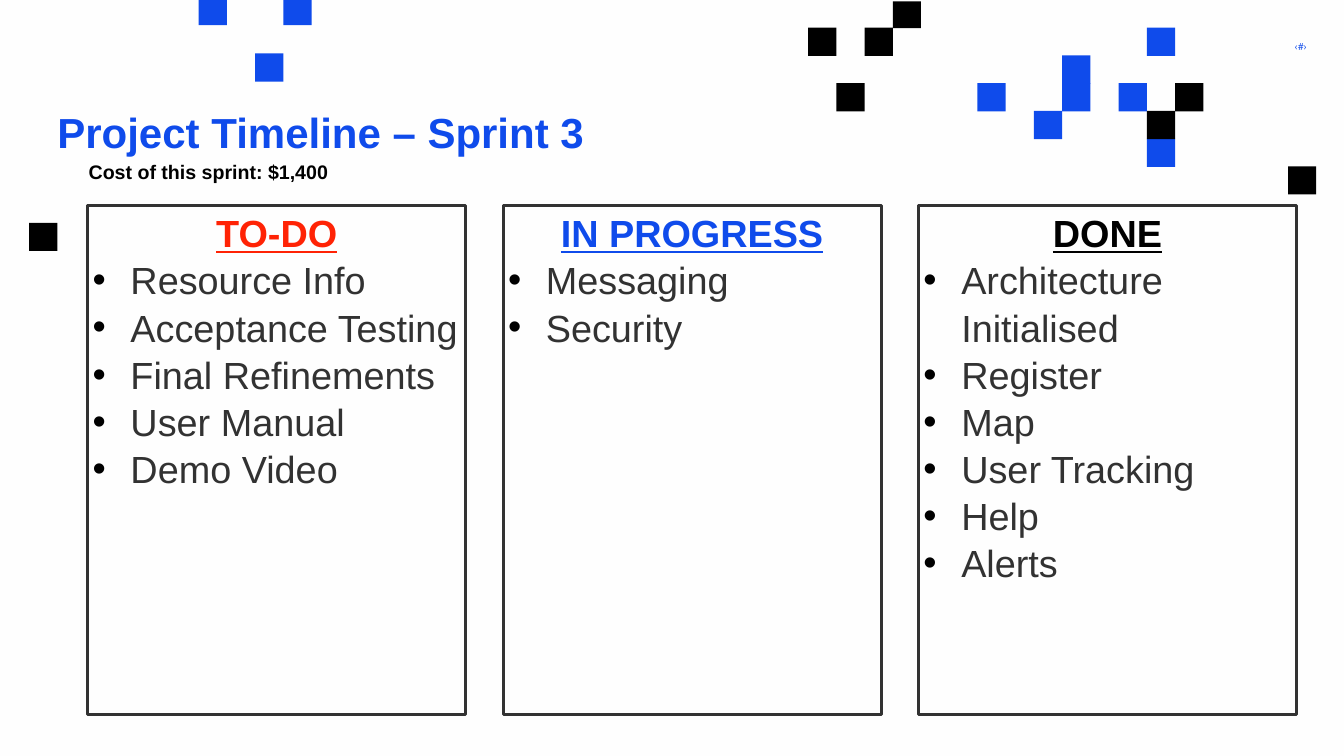
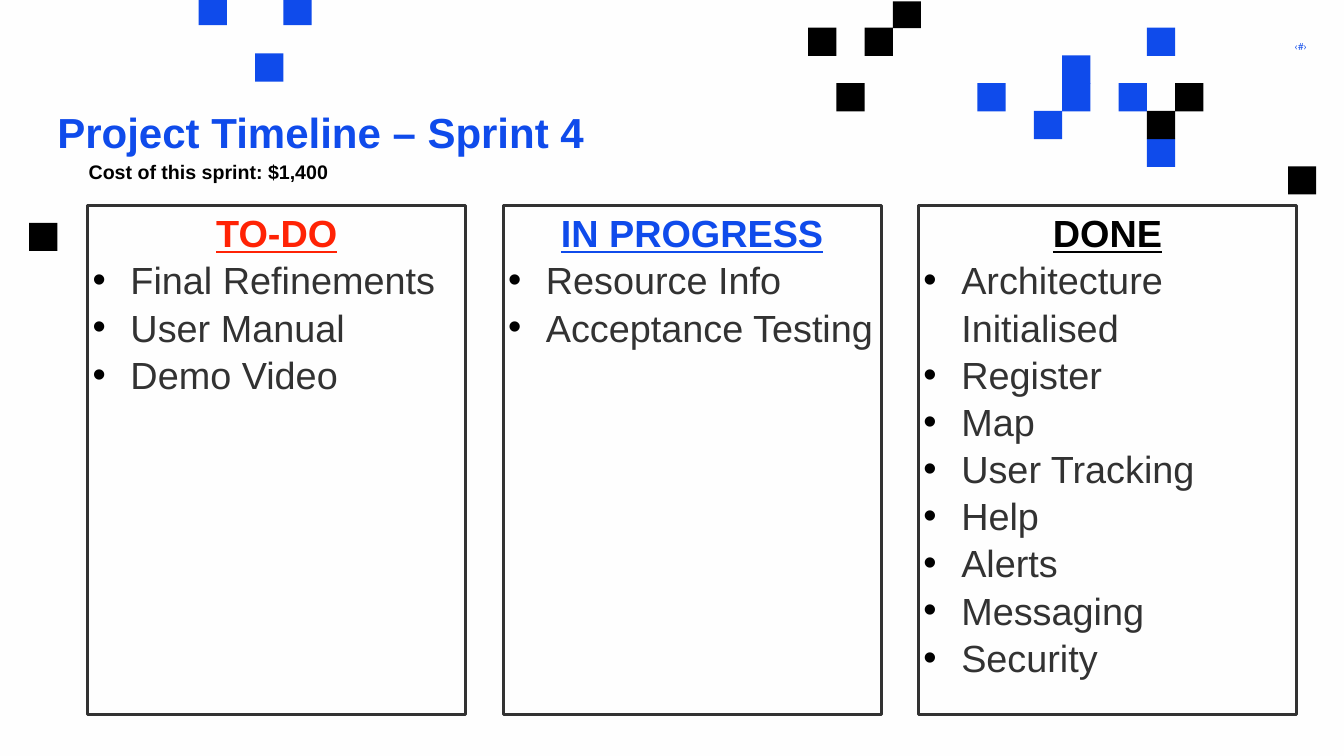
import pptx
import pptx.util
import pptx.dml.color
import pptx.enum.shapes
import pptx.enum.text
from lxml import etree

# Content
COST = "Cost of this sprint: $1,400"
HEADS = [("TO-DO", "FF2305"), ("IN PROGRESS", "0F4BEB"), ("DONE", "000000")]
BUILT = ["Architecture Initialised", "Register", "Map", "User Tracking", "Help", "Alerts"]
LAST = ["Final Refinements", "User Manual", "Demo Video"]
TESTS = ["Resource Info", "Acceptance Testing"]
CHAT = ["Messaging", "Security"]
SPRINTS = [
    ("Project Timeline – Sprint 3", [TESTS + LAST, CHAT, BUILT]),
    ("Project Timeline – Sprint 4", [LAST, TESTS, BUILT + CHAT]),
]

# Shared style, lengths in inches
WIDE, HIGH = 26.66, 15
BLUE, BLACK, GREY, PAPER = "0F4BEB", "000000", "323232", "FEFEFE"
TILE = 0.56
CARD = dict(left=1.74, top=4.08, wide=7.5, high=10.1, step=8.24)

# Tile groups: origin, row step, top edge, then (column, row) by colour
GROUPS = [
    (0.58, -0.06, 0.56, 0, {
        BLUE: [(6, 0), (9, 0), (8, 2)],
        BLACK: [(0, 8)]}),
    (16.03, 0, 0.55, 0.03, {
        BLUE: [(12, 1), (9, 2), (6, 3), (9, 3), (11, 3), (8, 4), (12, 5)],
        BLACK: [(3, 0), (0, 1), (2, 1), (1, 3), (13, 3), (12, 4), (17, 6)]}),
]

inch = pptx.util.Inches
ALIGN = pptx.enum.text.PP_ALIGN


def color(code):
    return pptx.dml.color.RGBColor.from_string(code)


def style(para, size, code, face="Arial", bold=False, line=False):
    font = para.font
    font.name, font.size, font.bold = face, pptx.util.Pt(size), bold
    font.underline = line
    font.color.rgb = color(code)


def rect(slide, left, top, wide, high):
    kind = pptx.enum.shapes.MSO_SHAPE.RECTANGLE
    shape = slide.shapes.add_shape(kind, inch(left), inch(top), inch(wide), inch(high))
    shape.shadow.inherit = False
    return shape


def label(slide, text, left, top, wide, high, pad=None):
    box = slide.shapes.add_textbox(inch(left), inch(top), inch(wide), inch(high))
    frame = box.text_frame
    frame.word_wrap = True
    if pad is not None:
        frame.margin_left = frame.margin_right = inch(pad)
        frame.margin_top = frame.margin_bottom = inch(pad)
    para = frame.paragraphs[0]
    para.text = text
    return para


def bullet(para):
    props = para._p.get_or_add_pPr()
    props.set("marL", str(inch(0.75)))
    props.set("indent", str(-inch(0.75)))
    space = props.nsmap["a"]
    tint = etree.SubElement(props, f"{{{space}}}buClr")
    etree.SubElement(tint, f"{{{space}}}srgbClr", val=BLACK)
    etree.SubElement(props, f"{{{space}}}buFont", typeface="Arial")
    etree.SubElement(props, f"{{{space}}}buChar", char="•")


def tiles(slide):
    for left, top, step, edge, sets in GROUPS:
        for code, spots in sets.items():
            for col, row in spots:
                y = top + row * step
                start = max(y, edge)
                tile = rect(slide, left + col * TILE, start, TILE, y + TILE - start)
                tile.fill.solid()
                tile.fill.fore_color.rgb = color(code)
                tile.line.fill.background()


def card(slide, col, head, code, items):
    shape = rect(slide, CARD["left"] + col * CARD["step"], CARD["top"],
                 CARD["wide"], CARD["high"])
    shape.fill.background()
    shape.line.color.rgb = color(GREY)
    shape.line.width = pptx.util.Pt(4.5)
    frame = shape.text_frame
    frame.word_wrap = True
    frame.vertical_anchor = pptx.enum.text.MSO_ANCHOR.TOP
    para = frame.paragraphs[0]
    para.text, para.alignment, para.line_spacing = head, ALIGN.CENTER, 1.04
    style(para, 54, code, bold=True, line=True)
    for item in items:
        para = frame.add_paragraph()
        para.text, para.alignment, para.line_spacing = item, ALIGN.LEFT, 1.04
        bullet(para)
        style(para, 54, GREY)


def build(deck, title, lists):
    slide = deck.slides.add_slide(deck.slide_layouts[6])
    slide.background.fill.solid()
    slide.background.fill.fore_color.rgb = color(PAPER)
    tiles(slide)
    # Page mark, title and cards
    para = label(slide, "‹#›", 23.36, 0.81, 2.56, 0.24, pad=0)
    para.alignment = ALIGN.RIGHT
    style(para, 14, BLUE, face="Roboto")
    para = label(slide, title, 1.04, 1.92, 17.09, 2.67, pad=0.1)
    para.line_spacing = 1.1
    style(para, 60, BLUE, bold=True)
    for col, ((head, code), items) in enumerate(zip(HEADS, lists)):
        card(slide, col, head, code, items)
    style(label(slide, COST, 1.66, 3.13, 11.43, 0.57), 28, BLACK, bold=True)


def main():
    deck = pptx.Presentation()
    deck.slide_width, deck.slide_height = inch(WIDE), inch(HIGH)
    for title, lists in SPRINTS:
        build(deck, title, lists)
    deck.save("out.pptx")


if __name__ == "__main__":
    main()
